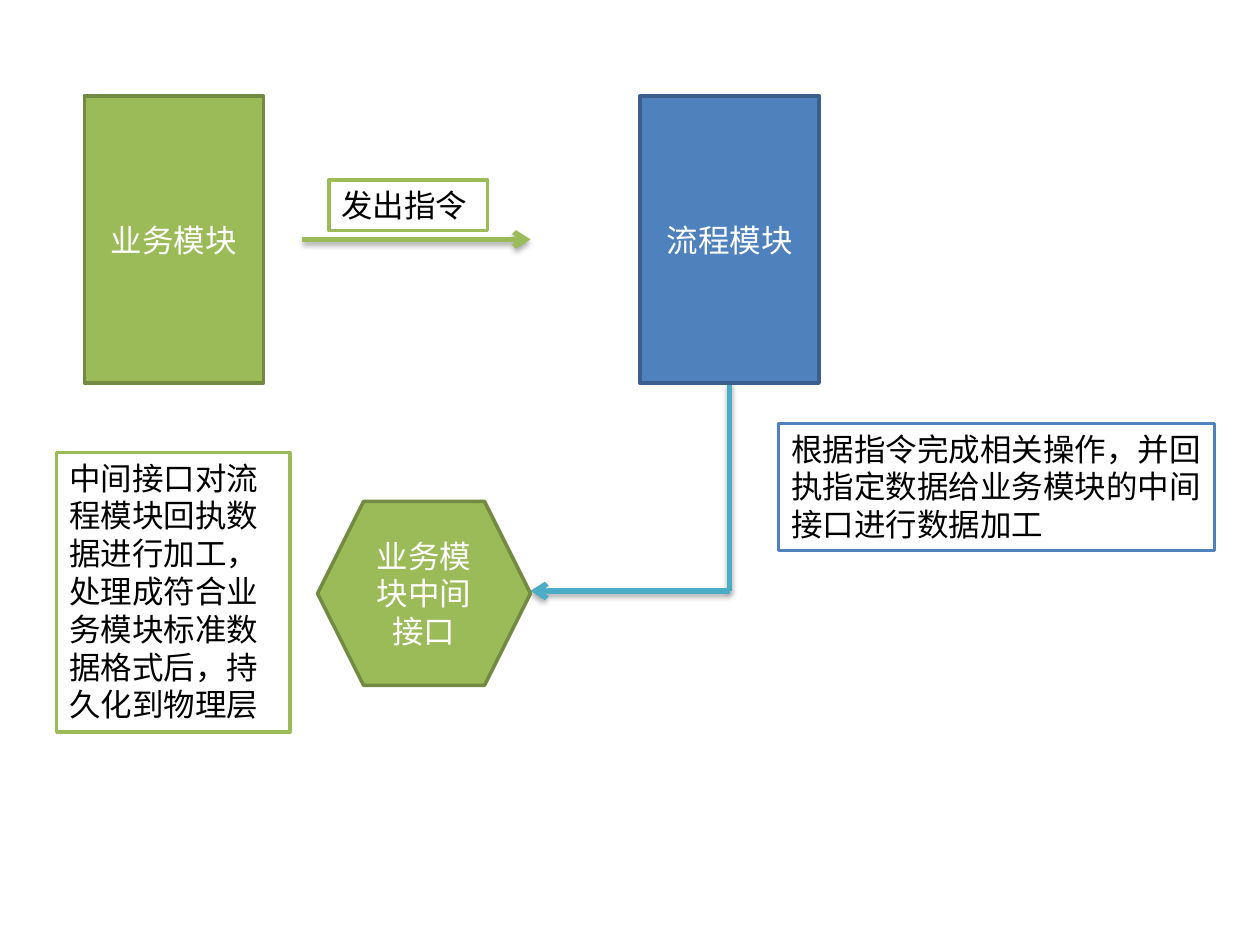
from dataclasses import dataclass

import pptx
import pptx.dml.color
import pptx.enum.shapes
import pptx.enum.text
import pptx.oxml
import pptx.oxml.ns
import pptx.slide
import pptx.util

Inches = pptx.util.Inches
Pt = pptx.util.Pt
Kind = pptx.enum.shapes.MSO_SHAPE
Anchor = pptx.enum.text.MSO_ANCHOR
Align = pptx.enum.text.PP_ALIGN
AutoSize = pptx.enum.text.MSO_AUTO_SIZE


@dataclass(frozen=True)
class Theme:
    business: str = "9BBB59"
    business_edge: str = "738A42"
    process: str = "4F81BD"
    process_edge: str = "3A5F8C"
    receipt: str = "4BACC6"
    paper: str = "FFFFFF"
    ink: str = "000000"
    font: str = "Calibri"
    text_size: float = 18
    outline: float = 2
    flow_width: float = 3


THEME = Theme()


@dataclass(frozen=True)
class Box:
    text: str
    left: float
    top: float
    width: float
    height: float
    fill: str
    edge: str
    kind: Kind


@dataclass(frozen=True)
class Flow:
    start: tuple[float, float]
    end: tuple[float, float]
    color: str
    arrow: bool = True


def note(text: str, left: float, top: float, width: float, height: float, edge: str) -> Box:
    return Box(text, left, top, width, height, THEME.paper, edge, Kind.RECTANGLE)


def rgb(value: str) -> pptx.dml.color.RGBColor:
    return pptx.dml.color.RGBColor.from_string(value)


def draw_box(slide: pptx.slide.Slide, box: Box) -> None:
    is_note = box.fill == THEME.paper
    shape = slide.shapes.add_shape(
        box.kind, Inches(box.left), Inches(box.top), Inches(box.width), Inches(box.height)
    )
    shape.shadow.inherit = False
    shape.fill.solid()
    shape.fill.fore_color.rgb = rgb(box.fill)
    shape.line.color.rgb = rgb(box.edge)
    shape.line.width = Pt(THEME.outline)
    frame = shape.text_frame
    frame.word_wrap = True
    frame.auto_size = AutoSize.SHAPE_TO_FIT_TEXT if is_note else AutoSize.NONE
    frame.vertical_anchor = Anchor.TOP if is_note else Anchor.MIDDLE
    frame.text = box.text
    paragraph = frame.paragraphs[0]
    paragraph.alignment = Align.LEFT if is_note else Align.CENTER
    paragraph.font.name = THEME.font
    paragraph.font.size = Pt(THEME.text_size)
    paragraph.font.color.rgb = rgb(THEME.ink if is_note else THEME.paper)


def draw_flow(slide: pptx.slide.Slide, flow: Flow) -> None:
    connector = slide.shapes.add_connector(
        pptx.enum.shapes.MSO_CONNECTOR.STRAIGHT,
        *(Inches(value) for value in flow.start + flow.end),
    )
    connector.line.color.rgb = rgb(flow.color)
    connector.line.width = Pt(THEME.flow_width)
    namespace = pptx.oxml.ns.nsdecls("a")
    properties = connector._element.spPr
    if flow.arrow:
        outline = properties.find(pptx.oxml.ns.qn("a:ln"))
        outline.append(pptx.oxml.parse_xml(f'<a:tailEnd {namespace} type="arrow"/>'))
    properties.append(pptx.oxml.parse_xml(
        f'<a:effectLst {namespace}>'
        '<a:outerShdw blurRad="40000" dist="23000" dir="5400000" rotWithShape="0">'
        f'<a:srgbClr val="{THEME.ink}"><a:alpha val="35000"/></a:srgbClr>'
        '</a:outerShdw></a:effectLst>'
    ))


MODULE_TOP, MODULE_WIDTH, MODULE_HEIGHT = 0.76, 1.42, 2.28
PROCESS_LEFT = 5.08
COMMAND_Y = MODULE_TOP + MODULE_HEIGHT / 2
RECEIPT_CORNER = (PROCESS_LEFT + MODULE_WIDTH / 2, 4.69)
INTERFACE_RIGHT = 4.21

FLOWS = [
    Flow((2.4, COMMAND_Y), (INTERFACE_RIGHT, COMMAND_Y), THEME.business),
    Flow((RECEIPT_CORNER[0], MODULE_TOP + MODULE_HEIGHT), RECEIPT_CORNER, THEME.receipt, False),
    Flow(RECEIPT_CORNER, (INTERFACE_RIGHT, RECEIPT_CORNER[1]), THEME.receipt),
]

BOXES = [
    Box("业务模块", 0.67, MODULE_TOP, MODULE_WIDTH, MODULE_HEIGHT,
        THEME.business, THEME.business_edge, Kind.FLOWCHART_PROCESS),
    note("发出指令", 2.61, 1.43, 1.26, 0.4, THEME.business),
    Box("流程模块", PROCESS_LEFT, MODULE_TOP, MODULE_WIDTH, MODULE_HEIGHT,
        THEME.process, THEME.process_edge, Kind.FLOWCHART_PROCESS),
    note("根据指令完成相关操作，并回执指定数据给业务模块的中间接口进行数据加工",
         6.18, 3.36, 3.46, 1.01, THEME.process),
    Box("业务模块中间接口", 2.52, 3.98, 1.69, 1.46,
        THEME.business, THEME.business_edge, Kind.HEXAGON),
    note("中间接口对流程模块回执数据进行加工，处理成符合业务模块标准数据格式后，持久化到物理层",
         0.45, 3.59, 1.85, 2.22, THEME.business),
]


def main() -> None:
    presentation = pptx.Presentation()
    presentation.slide_width = Inches(10)
    presentation.slide_height = Inches(7.5)
    slide = presentation.slides.add_slide(presentation.slide_layouts[6])
    for flow in FLOWS:
        draw_flow(slide, flow)
    for box in BOXES:
        draw_box(slide, box)
    presentation.save("out.pptx")


if __name__ == "__main__":
    main()
